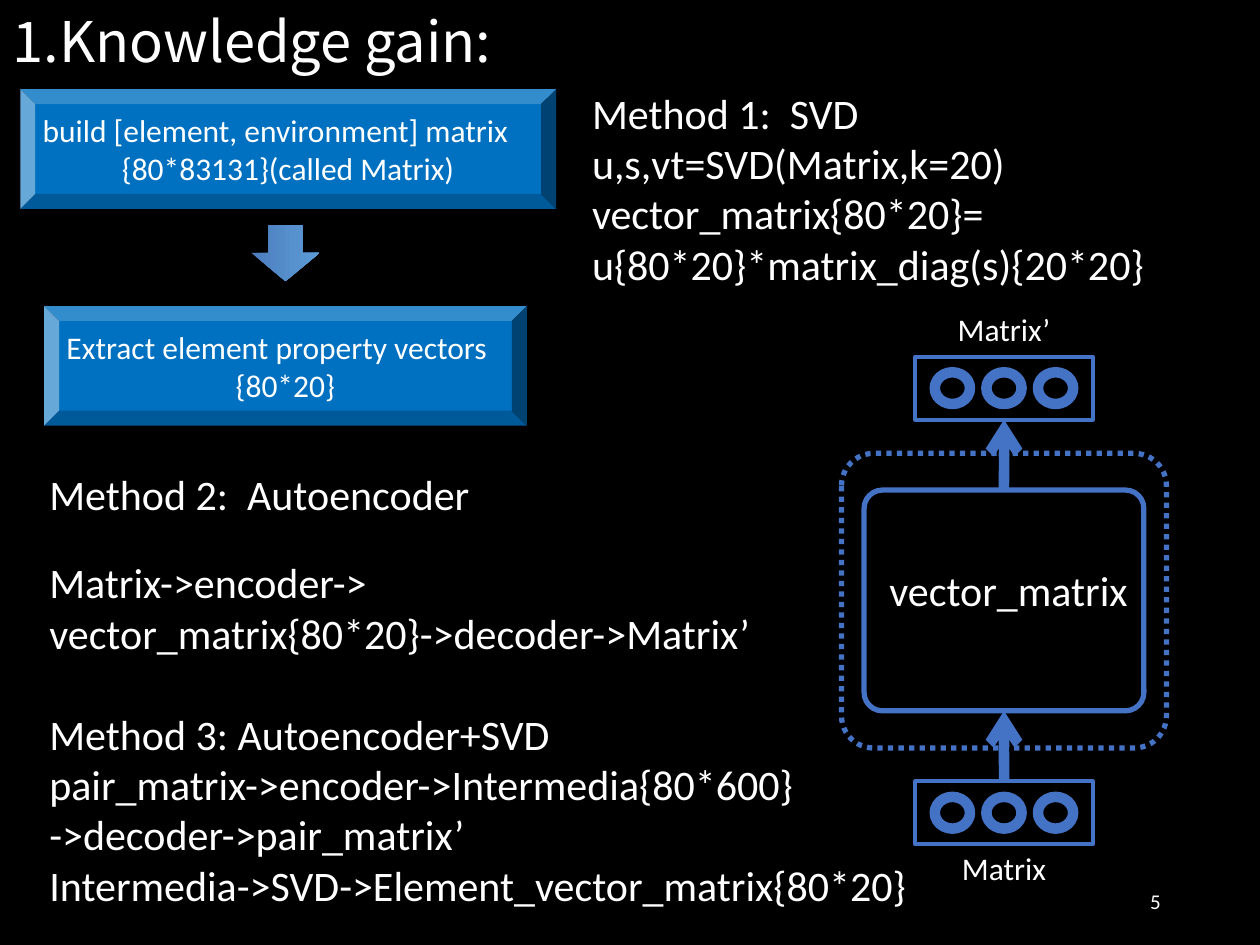
from lxml.etree import SubElement
from pptx import Presentation
from pptx.dml.color import RGBColor
from pptx.enum.dml import MSO_LINE
from pptx.enum.shapes import MSO_CONNECTOR, MSO_SHAPE as Shape
from pptx.enum.text import MSO_ANCHOR as Anchor, MSO_AUTO_SIZE, PP_ALIGN as Align
from pptx.oxml.ns import qn
from pptx.util import Cm, Pt

COLORS = {
    "background": "000000",
    "text": "FFFFFF",
    "step": "0070C0",
    "network": "4472C4",
    "arrow_dark": "4D7EBF",
    "arrow_light": "5B9BD5",
}

TITLE = "1.Knowledge gain:"
PAGE_NUMBER = "5"
LEFT, CENTER, JUSTIFY = Align.LEFT, Align.CENTER, Align.JUSTIFY

# Paragraphs: text, alignment, points of space before
METHOD_1 = [
    ("Method 1:  SVD", LEFT, 0),
    ("u,s,vt=SVD(Matrix,k=20)", LEFT, 0),
    ("vector_matrix{80*20}=", LEFT, 0),
    ("u{80*20}*matrix_diag(s){20*20}", LEFT, 0),
]
METHODS_2_3 = [
    ("Method 2:  Autoencoder", JUSTIFY, 0),
    ("Matrix->encoder->", JUSTIFY, 21.6),
    ("vector_matrix{80*20}->decoder->Matrix’", JUSTIFY, 0),
    ("Method 3: Autoencoder+SVD", JUSTIFY, 28.8),
    ("pair_matrix->encoder->Intermedia{80*600}", LEFT, 0),
    ("->decoder->pair_matrix’", LEFT, 0),
    ("Intermedia->SVD->Element_vector_matrix{80*20}", LEFT, 0),
]

# Steps: first line, second line, box in cm (left, top, width, height)
STEPS = [
    ("build [element, environment] matrix", "{80*83131}(called Matrix)",
     (0.41, 1.8, 10.8, 2.41)),
    ("Extract element property vectors", "{80*20}",
     (0.89, 6.17, 9.73, 2.41)),
]

# Layers: label, label top, layer top in cm
LAYERS = [("Matrix’", 6.12, 7.19), ("Matrix", 16.99, 15.75)]

AXIS = 20.24
LAYER_W, LAYER_H = 3.58, 1.27
RING_W, RING_H, RING_STEP = 0.71, 0.64, 1.04


def rgb(name):
    return RGBColor.from_string(COLORS[name])


def on_axis(width, offset=0):
    """Left edge that centres a width on the network's vertical axis."""
    return AXIS + offset - width / 2


def place(shape, box):
    shape.left, shape.top, shape.width, shape.height = map(Cm, box)


def write(shape, paragraphs, size=24, font="Calibri", anchor=Anchor.TOP,
          wrap=True, inset=None):
    frame = shape.text_frame
    frame.auto_size = MSO_AUTO_SIZE.NONE
    frame.word_wrap = wrap
    frame.vertical_anchor = anchor
    if inset is not None:
        frame.margin_left = frame.margin_right = Cm(inset)
        frame.margin_top = frame.margin_bottom = Cm(inset)
    for number, (text, align, before) in enumerate(paragraphs):
        paragraph = frame.add_paragraph() if number else frame.paragraphs[0]
        props = paragraph._p.get_or_add_pPr()
        props.set("marL", "0")
        props.set("indent", "0")
        SubElement(props, qn("a:buNone"))
        paragraph.alignment = align
        paragraph.space_before = Pt(before)
        run = paragraph.add_run()
        run.text = text
        run.font.size, run.font.name = Pt(size), font
        run.font.color.rgb = rgb("text")


def add_label(slide, text, box, align=CENTER, **text_format):
    label = slide.shapes.add_textbox(*map(Cm, box))
    write(label, [(text, align, 0)], **text_format)


def add_solid(slide, kind, box):
    shape = slide.shapes.add_shape(kind, *map(Cm, box))
    shape.shadow.inherit = False
    shape.line.fill.background()
    return shape


def add_outline(slide, kind, box, weight, corner=None):
    shape = add_solid(slide, kind, box)
    shape.fill.background()
    shape.line.color.rgb = rgb("network")
    shape.line.width = Pt(weight)
    if corner is not None:
        shape.adjustments[0] = corner
    return shape


def add_layer(slide, top):
    """Box with a row of three rings."""
    for column in (-1, 0, 1):
        ring_box = (on_axis(RING_W, column * RING_STEP),
                    top + (LAYER_H - RING_H) / 2, RING_W, RING_H)
        add_outline(slide, Shape.OVAL, ring_box, 6)
    return add_outline(slide, Shape.RECTANGLE,
                       (on_axis(LAYER_W), top, LAYER_W, LAYER_H), 2.25)


def add_upward_arrow(slide, lower, upper):
    arrow = slide.shapes.add_connector(MSO_CONNECTOR.STRAIGHT, 0, 0, 0, 0)
    arrow.begin_connect(lower, 0)
    arrow.end_connect(upper, 2)
    arrow.line.color.rgb = rgb("network")
    arrow.line.width = Pt(6)
    props = arrow._element.spPr
    SubElement(props.find(qn("a:ln")), qn("a:tailEnd"), type="arrow")
    SubElement(props, qn("a:effectLst"))


def add_steps(slide):
    for first, second, box in STEPS:
        step = add_solid(slide, Shape.BEVEL, box)
        step.fill.solid()
        step.fill.fore_color.rgb = rgb("step")
        write(step, [(first, LEFT, 0), (second, CENTER, 0)], size=18,
              anchor=Anchor.MIDDLE, inset=0.15)
    arrow = add_solid(slide, Shape.DOWN_ARROW, (5.07, 4.53, 1.37, 1.14))
    arrow.fill.gradient()
    arrow.fill.gradient_angle = 0
    for stop, name in zip(arrow.fill.gradient_stops, ("arrow_dark", "arrow_light")):
        stop.color.rgb = rgb(name)


def add_network(slide):
    hidden = add_outline(slide, Shape.ROUNDED_RECTANGLE,
                         (on_axis(5.64), 9.88, 5.64, 4.45), 3, 0.083)
    frame = add_outline(slide, Shape.ROUNDED_RECTANGLE,
                        (on_axis(6.55), 9.14, 6.55, 5.94), 3, 0.109)
    frame.line.dash_style = MSO_LINE.ROUND_DOT
    output_layer, input_layer = [add_layer(slide, top) for _, _, top in LAYERS]
    add_upward_arrow(slide, input_layer, hidden)
    add_upward_arrow(slide, hidden, output_layer)
    add_label(slide, "vector_matrix", (17.68, 11.25, 5.33, 1.27), LEFT)
    for text, top, _ in LAYERS:
        add_label(slide, text, (on_axis(2.4), top, 2.4, 1.02), size=18, wrap=False)


def main():
    deck = Presentation()
    deck.slide_width, deck.slide_height = Cm(25.4), Cm(19.05)
    slide = deck.slides.add_slide(deck.slide_layouts[3])
    slide.background.fill.solid()
    slide.background.fill.fore_color.rgb = rgb("background")

    title, method_1, methods_2_3 = slide.placeholders
    place(title, (0, 0, 10.54, 1.63))
    write(title, [(TITLE, LEFT, 0)], size=32, font="Noto Sans CJK SC", wrap=False)
    place(method_1, (11.68, 1.63, 13.6, 6.68))
    write(method_1, METHOD_1)
    place(methods_2_3, (0.74, 9.32, 17.96, 9.6))
    write(methods_2_3, METHODS_2_3)

    add_steps(slide)
    add_network(slide)
    add_label(slide, PAGE_NUMBER, (17.93, 17.65, 5.72, 1.02), Align.RIGHT,
              size=12, anchor=Anchor.MIDDLE)
    deck.save("out.pptx")


if __name__ == "__main__":
    main()
